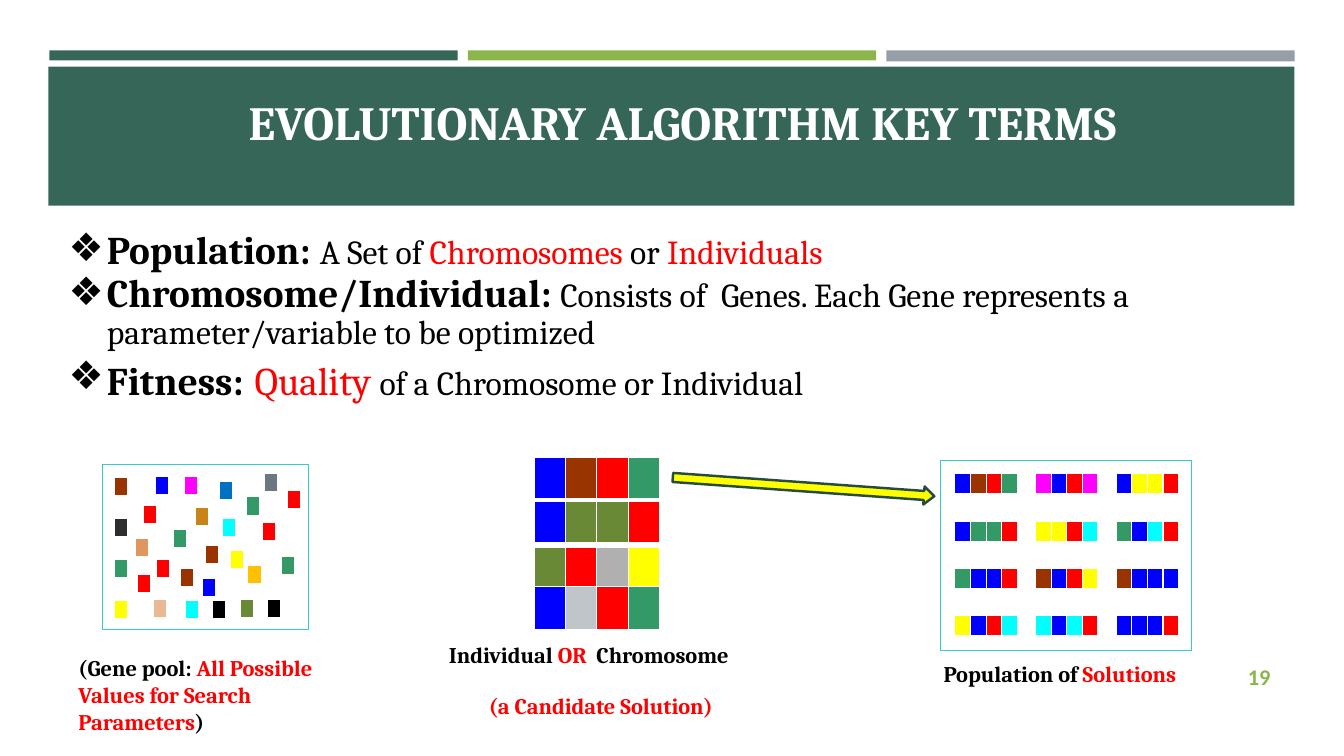
from lxml.etree import SubElement
from pptx import Presentation
from pptx.dml.color import RGBColor
from pptx.enum.shapes import MSO_SHAPE as Shape
from pptx.enum.text import MSO_ANCHOR as Anchor, MSO_AUTO_SIZE as AutoSize, PP_ALIGN as Align
from pptx.oxml.ns import qn
from pptx.util import Inches, Pt

BLACK = RGBColor(0x00, 0x00, 0x00)
WHITE = RGBColor(0xFF, 0xFF, 0xFF)
RED = RGBColor(0xFF, 0x00, 0x00)
YELLOW = RGBColor(0xFF, 0xFF, 0x00)
BLUE = RGBColor(0x00, 0x00, 0xFF)
CYAN = RGBColor(0x00, 0xFF, 0xFF)
MAGENTA = RGBColor(0xFF, 0x00, 0xFF)
BROWN = RGBColor(0x99, 0x33, 0x00)
GREEN = RGBColor(0x33, 0x99, 0x66)
OLIVE = RGBColor(0x69, 0x89, 0x37)
SILVER = RGBColor(0xB0, 0xB0, 0xB0)
PALE_GRAY = RGBColor(0xC0, 0xC5, 0xCA)
OCHRE = RGBColor(0xC8, 0x84, 0x19)
PEACH = RGBColor(0xEA, 0xB9, 0x94)
CHARCOAL = RGBColor(0x2E, 0x2E, 0x2E)
SKY = RGBColor(0x00, 0x70, 0xC0)
SLATE = RGBColor(0x6C, 0x77, 0x81)
AMBER = RGBColor(0xFF, 0xC0, 0x00)
TAN = RGBColor(0xE0, 0x96, 0x5F)
FRAME = RGBColor(0x33, 0xCC, 0xCC)
BAND = RGBColor(0x36, 0x66, 0x58)
LIME = RGBColor(0x8C, 0xB6, 0x4A)
STEEL = RGBColor(0x96, 0x9F, 0xA7)
ARROW_EDGE = RGBColor(0x28, 0x4B, 0x41)

TITLE = "EVOLUTIONARY ALGORITHM KEY TERMS"
# Runs are (text, size, colour, bold)
TERMS = [
    [("Population:", 28, BLACK, True), (" ", 30, BLACK, True), ("A Set of ", 24, BLACK, False),
     ("Chromosomes ", 24, RED, False), ("or ", 24, BLACK, False), ("Individuals", 24, RED, False)],
    [("Chromosome/Individual: ", 28, BLACK, True),
     ("Consists of  Genes. Each Gene represents a parameter/variable to be optimized",
      24, BLACK, False)],
    [("Fitness:", 28, BLACK, True), (" ", 36, BLACK, False), ("Quality ", 28, RED, False),
     ("of a Chromosome or Individual", 24, BLACK, False)],
]
POOL_CAPTION = [[("(Gene pool: ", 16, BLACK, True),
                 ("All Possible Values for Search Parameters", 16, RED, True),
                 (")", 16, BLACK, True)]]
CANDIDATE_CAPTION = [
    [("Individual ", 16, BLACK, True), ("OR  ", 16, RED, True), ("Chromosome", 16, BLACK, True)],
    [("(a Candidate Solution)", 16, RED, True)],
]
POPULATION_CAPTION = [[("Population of ", 16, BLACK, True), ("Solutions", 16, RED, True)]]
PAGE_NUMBER = [[("19", 16, LIME, True)]]

BARS = [(0.49, 0.5, 4.05, 0.1, BAND), (4.64, 0.5, 4.05, 0.1, LIME),
        (8.79, 0.5, 4.05, 0.11, STEEL), (0.48, 0.66, 12.36, 1.38, BAND)]

GENE_POOL = [
    (1.14, 4.74, BROWN), (2.44, 4.93, GREEN), (1.79, 5.64, BROWN), (1.94, 5.03, OCHRE),
    (2.39, 5.95, OLIVE), (2.29, 5.46, YELLOW), (1.54, 4.73, BLUE), (1.84, 5.96, CYAN),
    (2.01, 5.74, BLUE), (2.11, 5.96, BLACK), (2.6, 5.18, RED), (1.14, 5.96, YELLOW),
    (1.52, 5.95, PEACH), (1.36, 5.7, RED), (1.14, 5.14, CHARCOAL), (1.72, 5.25, GREEN),
    (1.42, 5.01, RED), (1.83, 4.73, MAGENTA), (2.18, 4.78, SKY), (2.62, 4.7, SLATE),
    (2.85, 4.87, RED), (2.21, 5.14, CYAN), (2.46, 5.61, AMBER), (2.04, 5.41, BROWN),
    (2.65, 5.95, BLACK), (2.79, 5.52, GREEN), (1.14, 5.55, GREEN), (1.34, 5.34, TAN),
    (1.55, 5.55, RED),
]
# (top, height, gene colours)
CANDIDATES = [
    (4.54, 0.41, (BLUE, BROWN, RED, GREEN)), (4.97, 0.41, (BLUE, OLIVE, OLIVE, RED)),
    (5.43, 0.41, (OLIVE, RED, SILVER, YELLOW)), (5.82, 0.43, (BLUE, PALE_GRAY, RED, GREEN)),
]
POPULATION = [
    [(BLUE, BROWN, RED, GREEN), (MAGENTA, BLUE, RED, MAGENTA), (BLUE, YELLOW, YELLOW, RED)],
    [(BLUE, GREEN, GREEN, RED), (YELLOW, YELLOW, RED, CYAN), (GREEN, BLUE, CYAN, RED)],
    [(GREEN, BLUE, BLUE, RED), (BROWN, BLUE, RED, YELLOW), (BROWN, BLUE, BLUE, BLUE)],
    [(YELLOW, BLUE, RED, CYAN), (CYAN, BLUE, CYAN, RED), (BLUE, BLUE, BLUE, RED)],
]


def place(shape, left, top, width, height):
    for name, value in dict(left=left, top=top, width=width, height=height).items():
        setattr(shape, name, Inches(value))


def add_block(shapes, area, fill, edge=None, points=0.75, kind=Shape.RECTANGLE):
    block = shapes.add_shape(kind, *map(Inches, area))
    block.shadow.inherit = False
    block.fill.solid()
    block.fill.fore_color.rgb = fill
    if edge is None:
        block.line.fill.background()
    else:
        block.line.color.rgb = edge
        block.line.width = Pt(points)
    return block


def add_chromosome(shapes, left, top, gene_width, height, genes):
    for index, color in enumerate(genes):
        add_block(shapes, (left + index * gene_width, top, gene_width, height), color, WHITE)


def write(frame, paragraphs, font="Cambria", align=Align.LEFT):
    for index, runs in enumerate(paragraphs):
        para = frame.add_paragraph() if index else frame.paragraphs[0]
        para.alignment = align
        para.space_before = Pt(0)
        for text, size, color, bold in runs:
            span = para.add_run()
            span.text = text
            for name, value in dict(name=font, size=Pt(size), bold=bold).items():
                setattr(span.font, name, value)
            span.font.color.rgb = color


def add_text(page, area, paragraphs, wrap=True, **style):
    frame = page.shapes.add_textbox(*map(Inches, area)).text_frame
    frame.word_wrap = wrap
    write(frame, paragraphs, **style)
    return frame


def add_header(page):
    for *area, color in BARS:
        add_block(page.shapes, area, color)
    title = page.shapes.title
    place(title, 0.74, 0.46, 12.06, 1.08)
    title.text_frame.auto_size = AutoSize.NONE
    title.text_frame.vertical_anchor = Anchor.BOTTOM
    write(title.text_frame, [[(TITLE, 34, WHITE, True)]], align=Align.CENTER)
    title.element.getparent().append(title.element)  # in front of the band


def add_terms(page):
    body = page.placeholders[1]
    place(body, 0.58, 2.21, 12.38, 2.42)
    body.text_frame.auto_size = AutoSize.NONE
    write(body.text_frame, TERMS)
    for para in body.text_frame.paragraphs:
        properties = para._p.get_or_add_pPr()
        properties.set("marL", str(Inches(0.38)))
        properties.set("indent", str(-Inches(0.38)))
        SubElement(properties, qn("a:buChar"), char="❖")
        para.line_spacing = 0.9


def add_gene_pool(page):
    pool = page.shapes.add_group_shape().shapes
    add_block(pool, (1.02, 4.61, 2.04, 1.64), WHITE, FRAME)
    for left, top, color in GENE_POOL:
        add_block(pool, (left, top, 0.13, 0.18), color, WHITE)
    add_text(page, (0.68, 6.44, 3.2, 0.91), POOL_CAPTION)


def add_candidate(page):
    for top, height, genes in CANDIDATES:
        add_chromosome(page.shapes.add_group_shape().shapes, 5.3, top, 0.31, height, genes)
    frame = add_text(page, (4.38, 6.36, 2.92, 0.42), CANDIDATE_CAPTION, align=Align.CENTER)
    for side in ("left", "top", "right", "bottom"):
        setattr(frame, f"margin_{side}", 0)
    second = frame.paragraphs[1]
    second.space_before = Pt(17)
    second._p.get_or_add_pPr().set("marL", str(Inches(0.24)))


def add_population(page):
    group = page.shapes.add_group_shape().shapes
    add_block(group, (9.33, 4.57, 2.49, 1.88), WHITE, FRAME)
    for row, chromosomes in enumerate(POPULATION):
        for column, genes in enumerate(chromosomes):
            add_chromosome(group, 9.47 + column * 0.8, 4.7 + row * 0.47, 0.62 / 4, 0.2, genes)
    add_text(page, (9.26, 6.5, 2.63, 0.37), POPULATION_CAPTION, wrap=False)
    arrow = add_block(page.shapes, (6.67, 4.74, 2.6, 0.18), YELLOW, ARROW_EDGE, 1.75,
                      Shape.RIGHT_ARROW)
    arrow.rotation = 4.1
    arrow.adjustments[0], arrow.adjustments[1] = 0.5, 0.57


def main():
    deck = Presentation()
    deck.slide_width, deck.slide_height = Inches(13.33), Inches(7.5)
    page = deck.slides.add_slide(deck.slide_layouts[1])
    add_header(page)
    add_terms(page)
    add_gene_pool(page)
    add_candidate(page)
    add_population(page)
    number = add_text(page, (11.55, 6.51, 1.15, 0.4), PAGE_NUMBER, font="Calibri",
                      align=Align.RIGHT)
    number.vertical_anchor = Anchor.MIDDLE
    deck.save("out.pptx")


if __name__ == "__main__":
    main()
